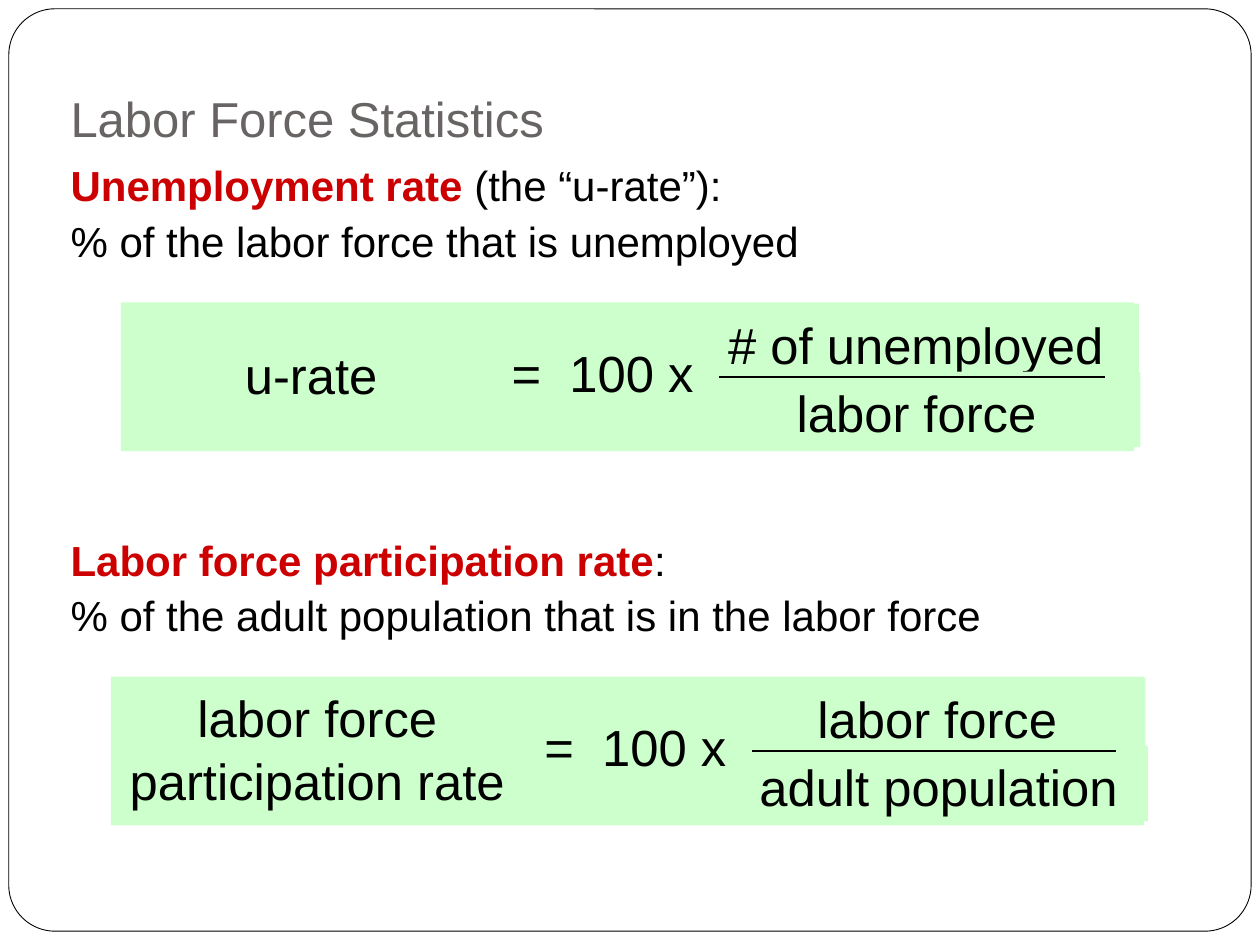
import pptx
import pptx.dml.color
import pptx.enum.shapes
import pptx.enum.text
import pptx.oxml.ns
import pptx.util
import lxml.etree

ALIGN = pptx.enum.text.PP_ALIGN
ANCHOR = pptx.enum.text.MSO_ANCHOR
SHAPE = pptx.enum.shapes.MSO_SHAPE
qn = pptx.oxml.ns.qn


def paint(fmt, color):
    if hasattr(fmt, "solid"):
        fmt.solid()
        fmt = fmt.fore_color
    fmt.rgb = pptx.dml.color.RGBColor.from_string(color)


def write(sp, lines, size=29, align=ALIGN.CENTER, anchor=ANCHOR.TOP, inset=0.06, spacing=None):
    tf = sp.text_frame
    tf.auto_size = pptx.enum.text.MSO_AUTO_SIZE.NONE
    tf.word_wrap = True
    tf.vertical_anchor = anchor
    tf.margin_left = tf.margin_right = pptx.util.Inches(inset)
    tf.margin_top = tf.margin_bottom = pptx.util.Inches(inset)
    p = tf.paragraphs[0]
    p.alignment = align
    p.space_before = pptx.util.Pt(0)
    p.line_spacing = spacing
    for i, line in enumerate(lines):
        if i:
            p.add_line_break()
        for text, color, bold in line:
            r = p.add_run()
            r.text = text
            r.font.name = "Arial"
            r.font.size = pptx.util.Pt(size)
            r.font.bold = bold
            paint(r.font.fill, color)
    return p


prs = pptx.Presentation()
prs.slide_width = pptx.util.Inches(10)
prs.slide_height = pptx.util.Inches(7.5)
unit = prs.slide_width // 100
s = prs.slides.add_slide(prs.slide_layouts[3])
title, *bodies = list(s.placeholders)[:3]

frame = s.shapes.add_shape(SHAPE.ROUNDED_RECTANGLE, *[round(v * unit) for v in (0.7, 0.7, 98.6, 73.2)])
frame.adjustments[0] = 0.05
frame.shadow.inherit = False
paint(frame.fill, "FFFFFF")
paint(frame.line.fill, "000000")
frame.line.width = pptx.util.Pt(0.5)
s.shapes._spTree.insert(2, frame._element)

title.left, title.top, title.width, title.height = [v * unit for v in (5, 3, 90, 9)]
title.height = round(9.3 * unit)
write(title, [[("Labor Force Statistics", "696464", False)]], size=28, align=ALIGN.LEFT, anchor=ANCHOR.BOTTOM)

definitions = [
    (11.7, "Unemployment rate", " (the “u-rate”):", "% of the labor force that is unemployed"),
    (41.4, "Labor force participation rate", ":", "% of the adult population that is in the labor force"),
]
for sp, (top, term, rest, meaning) in zip(bodies, definitions):
    sp.left, sp.top, sp.width, sp.height = [round(v * unit) for v in (5, top, 90, 11.8)]
    lines = [[(term, "CC0000", True), (rest, "000000", False)], [(meaning, "000000", False)]]
    p = write(sp, lines, size=24, align=ALIGN.LEFT, spacing=1.1)
    pPr = p._p.get_or_add_pPr()
    pPr.set("marL", "0")
    pPr.set("indent", "0")
    lxml.etree.SubElement(pPr, qn("a:buNone"))

formulas = [
    (24, (9.6, 80.4), (10.6, 28.2, "u-rate"), (40.6, 15.5),
     (55, 35.4, "# of unemployed"), (55, 35.5, "labor force"), (57.1, 87.7)),
    (53.7, (8.8, 82), (8.9, 32.6, "labor force participation rate"), (43.2, 15.7),
     (57.9, 33, "labor force"), (57.9, 33.2, "adult population"), (59.7, 88.6)),
]
for top, panel, label, factor, numerator, denominator, bar in formulas:
    group = s.shapes.add_group_shape()
    parts = [
        (*panel, "", 0, 11.8, ANCHOR.MIDDLE, ALIGN.CENTER, 0),
        (*label, 0.5, 10.2, ANCHOR.MIDDLE, ALIGN.CENTER, 0),
        (*numerator, 0.1, 5.9, ANCHOR.TOP, ALIGN.CENTER, 0.06),
        (*denominator, 5.5, 6, ANCHOR.TOP, ALIGN.CENTER, 0.06),
        (*factor, "=  100 x", 0.3, 10.3, ANCHOR.MIDDLE, ALIGN.LEFT, 0),
    ]
    for left, width, text, drop, height, anchor, align, inset in parts:
        box = [round(v * unit) for v in (left, top + drop, width, height)]
        sp = group.shapes.add_shape(SHAPE.RECTANGLE, *box)
        sp.shadow.inherit = False
        paint(sp.fill, "CCFFCC")
        sp.line.fill.background()
        if text:
            write(sp, [[(text, "000000", False)]], align=align, anchor=anchor, inset=inset, spacing=1.04)
    ends = [round(v * unit) for v in (bar[0], top + 5.9, bar[1], top + 5.9)]
    line = group.shapes.add_connector(pptx.enum.shapes.MSO_CONNECTOR.STRAIGHT, *ends)
    paint(line.line.fill, "000000")
    line.line.width = pptx.util.Pt(1)
    lxml.etree.SubElement(line._element.spPr, qn("a:effectLst"))

for sp in list(s.placeholders):
    if not sp.text_frame.text:
        sp._element.getparent().remove(sp._element)

prs.save("out.pptx")
